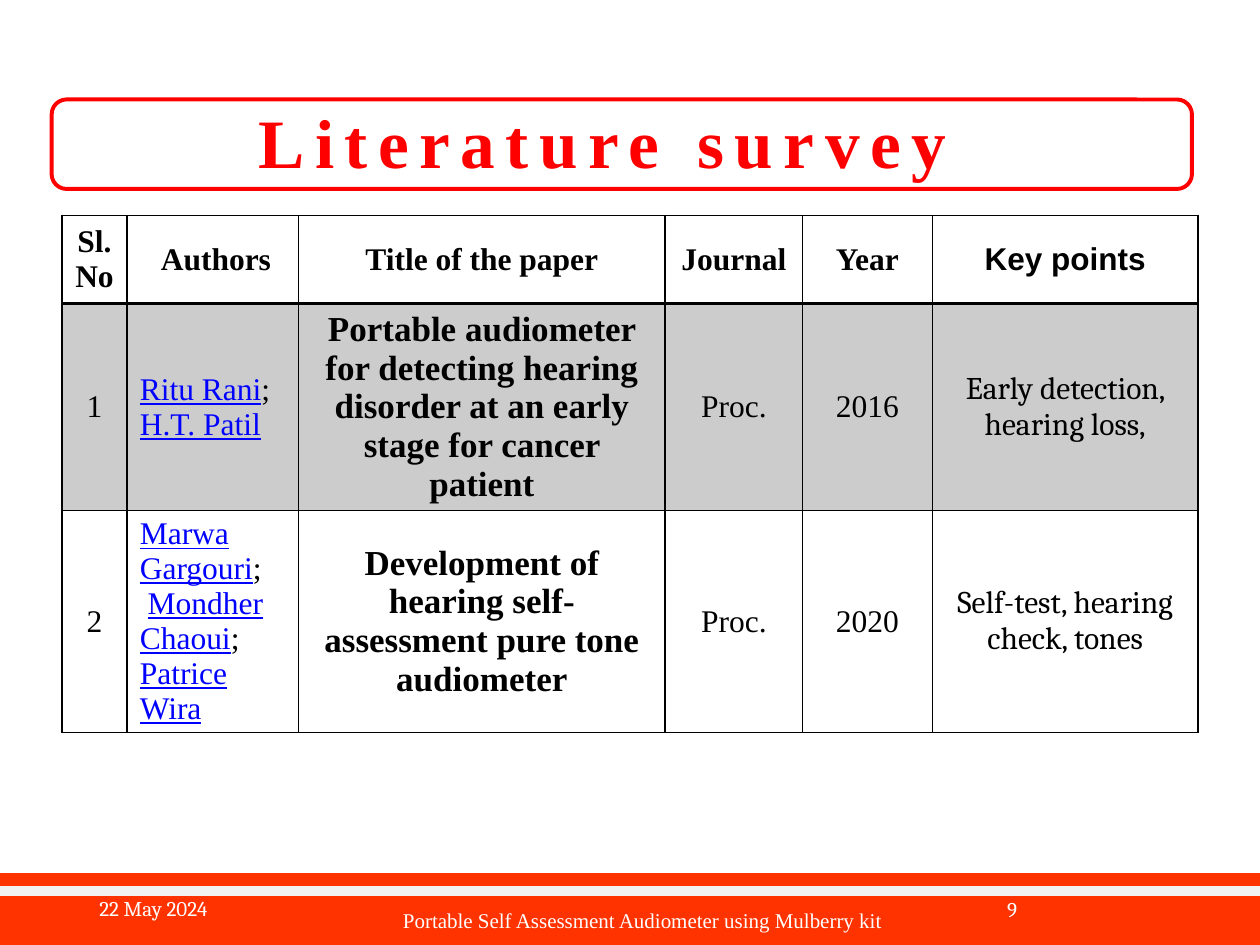
from dataclasses import dataclass
from typing import NamedTuple

from lxml.etree import SubElement
from pptx import Presentation
from pptx.dml.color import RGBColor
from pptx.enum.shapes import MSO_CONNECTOR as Connector, MSO_SHAPE as Preset
from pptx.enum.text import MSO_ANCHOR as Anchor, PP_ALIGN as Align
from pptx.oxml.ns import qn
from pptx.util import Inches, Pt

SLIDE_WIDTH, SLIDE_HEIGHT = Inches(10), Inches(7.5)
RED, ORANGE, LIGHT, WHITE, BLACK, BLUE = (
    "FF0000", "FF3300", "F2F2F2", "FFFFFF", "000000", "0000FF")
SERIF, SANS, CAMBRIA = "Times New Roman", "Arial", "Cambria"
COLUMNS = (5.2, 13.6, 29.1, 10.9, 10.3, 21.1)
ROWS = (9.33, 20, 22.53)


class Box(NamedTuple):
    """Left, top, width and height in percent of the slide."""
    left: float
    top: float
    width: float
    height: float


class Piece(NamedTuple):
    text: str
    linked: bool = False


@dataclass
class Style:
    size: float = 18
    font: str = SERIF
    colour: str = BLACK
    bold: bool = False
    align: Align = Align.CENTER


@dataclass
class Entry:
    """A table cell: paragraphs made of pieces, in one style."""
    paragraphs: list[list[Piece]]
    style: Style


@dataclass
class FooterText:
    text: str
    box: Box
    style: Style


def across(share: float) -> int:
    return round(SLIDE_WIDTH * share / 100)


def down(share: float) -> int:
    return round(SLIDE_HEIGHT * share / 100)


def place(box: Box) -> tuple[int, int, int, int]:
    return across(box.left), down(box.top), across(box.width), down(box.height)


def rgb(colour: str) -> RGBColor:
    return RGBColor.from_string(colour)


def format_run(run, style: Style, linked: bool = False) -> None:
    run.font.size = Pt(style.size)
    run.font.name = style.font
    run.font.bold = style.bold
    run.font.underline = linked
    run.font.color.rgb = rgb(BLUE if linked else style.colour)


def add_panel(slide, preset: Preset, box: Box, fill: str, line: str | None = None):
    shape = slide.shapes.add_shape(preset, *place(box))
    shape.shadow.inherit = False
    shape.fill.solid()
    shape.fill.fore_color.rgb = rgb(fill)
    if line:
        shape.line.color.rgb = rgb(line)
        shape.line.width = Pt(2.25)
    else:
        shape.line.fill.background()
    return shape


def add_stripe(slide, top: float, colour: str, width: float) -> None:
    stripe = slide.shapes.add_connector(
        Connector.STRAIGHT, 0, down(top), SLIDE_WIDTH, down(top))
    stripe.line.color.rgb = rgb(colour)
    stripe.line.width = Pt(width)
    SubElement(stripe.element.spPr, qn("a:effectLst"))


def add_title(slide, text: str, box: Box, style: Style) -> None:
    title = slide.shapes.title
    title.left, title.top, title.width, title.height = place(box)
    frame = title.text_frame
    frame.text = text
    frame.vertical_anchor = Anchor.MIDDLE
    paragraph = frame.paragraphs[0]
    paragraph.alignment = style.align
    paragraph.line_spacing = 0.9
    format_run(paragraph.runs[0], style)
    paragraph.runs[0].font._element.set("spc", "600")


def add_footer_text(slide, footer: FooterText) -> None:
    frame = slide.shapes.add_textbox(*place(footer.box)).text_frame
    frame.word_wrap = True
    frame.vertical_anchor = Anchor.MIDDLE
    frame.text = footer.text
    frame.paragraphs[0].alignment = footer.style.align
    format_run(frame.paragraphs[0].runs[0], footer.style)


def add_borders(cell, widths: dict[str, float]) -> None:
    properties = cell._tc.get_or_add_tcPr()
    for side, width in widths.items():
        line = SubElement(properties, qn(f"a:ln{side}"), w=str(Pt(width)))
        fill = SubElement(line, qn("a:solidFill"))
        SubElement(fill, qn("a:srgbClr"), val=BLACK)


def fill_cell(cell, shaded: bool) -> None:
    if not shaded:
        cell.fill.background()
        return
    cell.fill.solid()
    cell.fill.fore_color.rgb = rgb(BLACK)
    colour = cell._tc.tcPr.find(f".//{qn('a:solidFill')}[last()]/{qn('a:srgbClr')}")
    colour = cell._tc.tcPr.find(qn("a:solidFill")).find(qn("a:srgbClr"))
    SubElement(colour, qn("a:alpha"), val="20000")


def write_cell(cell, entry: Entry) -> None:
    cell.vertical_anchor = Anchor.MIDDLE
    frame = cell.text_frame
    for index, pieces in enumerate(entry.paragraphs):
        paragraph = frame.add_paragraph() if index else frame.paragraphs[0]
        paragraph.alignment = entry.style.align
        for piece in pieces:
            run = paragraph.add_run()
            run.text = piece.text
            format_run(run, entry.style, piece.linked)


def add_table(slide, box: Box, entries: list[list[Entry]]) -> None:
    table = slide.shapes.add_table(len(ROWS), len(COLUMNS), *place(box)).table
    table.first_row = table.horz_banding = False
    for column, share in zip(table.columns, COLUMNS):
        column.width = across(share)
    for row, share in zip(table.rows, ROWS):
        row.height = down(share)
    for i, row_entries in enumerate(entries):
        for j, entry in enumerate(row_entries):
            cell = table.cell(i, j)
            add_borders(cell, {"L": 1, "R": 1, "T": 2 if i == 1 else 1,
                               "B": 2 if i == 0 else 1})
            fill_cell(cell, shaded=i == 1)
            write_cell(cell, entry)


def entry(text: str, **style) -> Entry:
    return Entry([[Piece(line)] for line in text.split("\n")], Style(**style))


def paper(number: str, authors: list[list[Piece]], title: str, year: str,
          key_points: str) -> list[Entry]:
    return [entry(number), Entry(authors, Style(align=Align.LEFT)),
            entry(title, size=20, bold=True), entry("Proc."), entry(year),
            entry(key_points, font=CAMBRIA)]


HEADINGS = [entry(text, bold=True) for text in
            ("Sl.\nNo", " Authors", "Title of the paper", "Journal", "Year")]
HEADINGS.append(entry("Key points", bold=True, font=SANS))
PAPERS = [
    paper("1", [[Piece("Ritu Rani", True), Piece(";")], [Piece("H.T. Patil", True)]],
          "Portable audiometer for detecting hearing disorder at an early stage "
          "for cancer patient", "2016", "Early detection, hearing loss,"),
    paper("2", [[Piece("Marwa Gargouri", True), Piece(";")],
                [Piece(" "), Piece("Mondher Chaoui", True), Piece(";")],
                [Piece("Patrice Wira", True)]],
          "Development of hearing self-assessment pure tone audiometer",
          "2020", "Self-test, hearing check, tones"),
]
FOOTERS = [
    FooterText("Portable Self Assessment Audiometer using Mulberry kit",
               Box(23.9, 93.6, 54.2, 7.47), Style(12, SERIF, WHITE)),
    FooterText("9", Box(70.6, 94.27, 11.1, 3.87),
               Style(12, CAMBRIA, WHITE, align=Align.RIGHT)),
    FooterText("22 May 2024", Box(6.9, 94.27, 22.5, 3.73),
               Style(12, CAMBRIA, WHITE, align=Align.LEFT)),
]


def main() -> None:
    presentation = Presentation()
    presentation.slide_width, presentation.slide_height = SLIDE_WIDTH, SLIDE_HEIGHT
    slide = presentation.slides.add_slide(presentation.slide_layouts[5])
    add_panel(slide, Preset.RECTANGLE, Box(0, 92.4, 100, 7.6), ORANGE)
    add_stripe(slide, 94.27, LIGHT, 6)
    frame = add_panel(slide, Preset.ROUNDED_RECTANGLE,
                      Box(4.1, 10.53, 90.5, 9.47), WHITE, RED)
    slide.shapes.title.element.addprevious(frame.element)
    add_title(slide, "Literature survey", Box(1.1, 10.8, 93.5, 9.33),
              Style(39.6, SERIF, RED, bold=True))
    add_table(slide, Box(4.9, 22.8, sum(COLUMNS), sum(ROWS)), [HEADINGS, *PAPERS])
    for footer in FOOTERS:
        add_footer_text(slide, footer)
    presentation.save("out.pptx")


if __name__ == "__main__":
    main()
